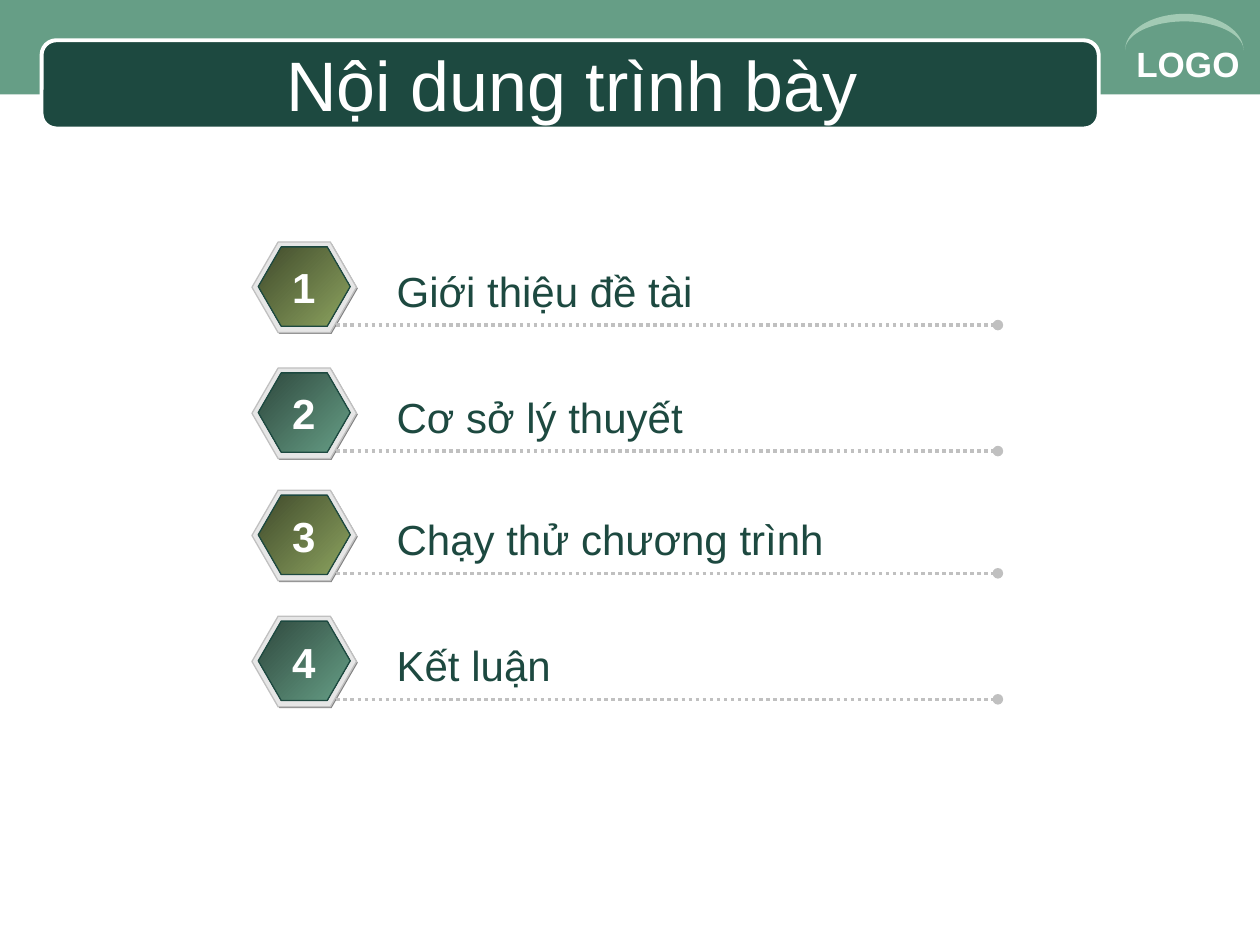
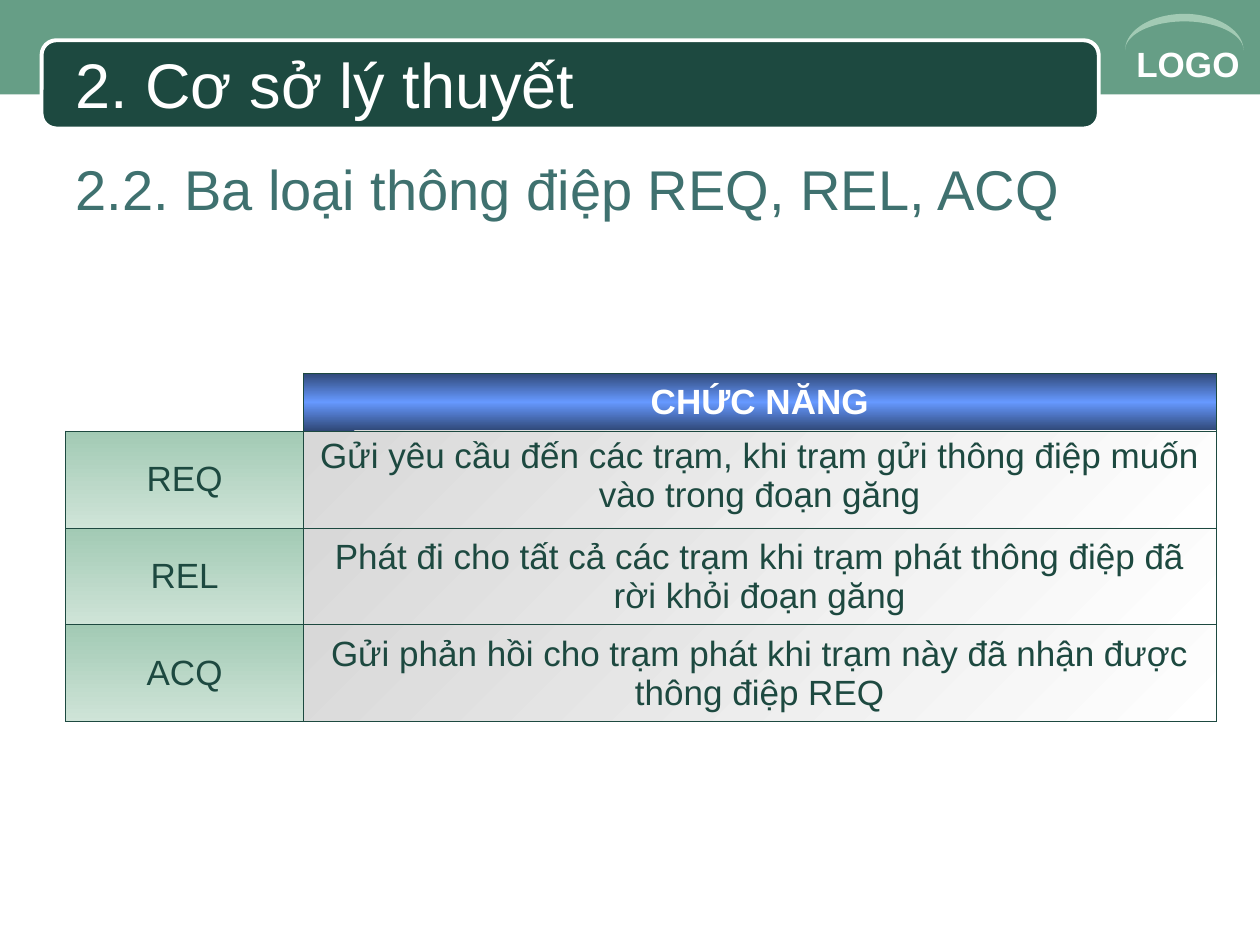
from math import cos, pi, sin

from lxml.etree import SubElement
from pptx import Presentation
from pptx.dml.color import RGBColor
from pptx.enum.dml import MSO_LINE
from pptx.enum.shapes import MSO_CONNECTOR, MSO_SHAPE
from pptx.enum.text import MSO_ANCHOR, PP_ALIGN
from pptx.oxml.ns import qn
from pptx.util import Inches, Pt

# Content
AGENDA_TITLE = "Nội dung trình bày"
AGENDA = ["Giới thiệu đề tài", "Cơ sở lý thuyết", "Chạy thử chương trình", "Kết luận"]
THEORY_TITLE = "2. Cơ sở lý thuyết"
THEORY_HEADING = "2.2. Ba loại thông điệp REQ, REL, ACQ"
MESSAGES = [
    ("", "CHỨC NĂNG"),
    ("REQ", "Gửi yêu cầu đến các trạm, khi trạm gửi thông điệp muốn vào trong đoạn găng"),
    ("REL", "Phát đi cho tất cả các trạm khi trạm phát thông điệp đã rời khỏi đoạn găng"),
    ("ACQ", "Gửi phản hồi cho trạm phát khi trạm này đã nhận được thông điệp REQ"),
]

# Look
FONT = "Arial"
WHITE = RGBColor(0xFF, 0xFF, 0xFF)
DARK = RGBColor(0x1D, 0x49, 0x40)
GREEN = RGBColor(0x66, 0x9E, 0x86)
PALE = RGBColor(0xA2, 0xCA, 0xB4)
PALER = RGBColor(0xCF, 0xE4, 0xD8)
TEAL = RGBColor(0x3F, 0x71, 0x6F)
GREY = RGBColor(0x80, 0x80, 0x80)
SILVER = RGBColor(0xC0, 0xC0, 0xC0)
LIGHT = RGBColor(0xE6, 0xE6, 0xE6)
NAVY = RGBColor(0x2F, 0x47, 0x76)
BLUE = RGBColor(0x66, 0x99, 0xFF)
MIST = RGBColor(0xD8, 0xD8, 0xD8)
OLIVE_BADGE = (RGBColor(0x41, 0x4B, 0x2C), RGBColor(0x8C, 0xA3, 0x5F))
GREEN_BADGE = (RGBColor(0x2F, 0x49, 0x3E), GREEN)

WIDTH, HEIGHT = 10, 7.5
BADGE_X, BADGE_W, BADGE_H = 2, 0.83, 0.72
AGENDA_TOP, PAIR_STEP = 1.92, 1.97
COLUMNS, ROWS = (1.89, 7.24), (0.46, 0.77, 0.77, 0.77)


def write(tf, text, size=20, color=DARK, bold=False, align=PP_ALIGN.LEFT, before=0):
    p = tf.paragraphs[0]
    p.alignment = align
    p.space_before = Pt(before)
    r = p.add_run()
    r.text = text
    r.font.name, r.font.size, r.font.bold = FONT, Pt(size), bold
    r.font.color.rgb = color


def add_text(slide, box, text, wrap=True, anchor=MSO_ANCHOR.TOP, **style):
    tf = slide.shapes.add_textbox(*map(Inches, box)).text_frame
    tf.word_wrap, tf.vertical_anchor = wrap, anchor
    write(tf, text, **style)


def fill_gradient(fill, element, colors, angle):
    fill.gradient()
    stops = element.find(".//" + qn("a:gsLst"))
    for stop in list(stops):
        stops.remove(stop)
    for i, color in enumerate(colors):
        gs = SubElement(stops, qn("a:gs"), pos=str(100000 * i // (len(colors) - 1)))
        SubElement(gs, qn("a:srgbClr"), val=str(color))
    element.find(".//" + qn("a:lin")).set("ang", str(angle * 60000))


def style_shape(sp, fill, line=None, weight=0.75):
    sp.shadow.inherit = False
    if isinstance(fill, RGBColor):
        sp.fill.solid()
        sp.fill.fore_color.rgb = fill
    else:
        fill_gradient(sp.fill, sp._element.spPr, fill, 45)
    if line is None:
        sp.line.fill.background()
    else:
        sp.line.color.rgb, sp.line.width = line, Pt(weight)


def add_shape(slide, kind, box, fill, adj=None, **line):
    sp = slide.shapes.add_shape(kind, *map(Inches, box))
    if adj is not None:
        sp.adjustments[0] = adj
    style_shape(sp, fill, **line)


def add_crescent(slide, cx, base, rx, outer, inner, steps=40):
    angles = [pi * i / steps for i in range(steps + 1)]
    arc = [(a, outer) for a in angles] + [(a, inner) for a in reversed(angles)]
    points = [(Inches(cx + rx * cos(a)), Inches(base - ry * sin(a))) for a, ry in arc]
    builder = slide.shapes.build_freeform(*points[0])
    builder.add_line_segments(points[1:], close=True)
    style_shape(builder.convert_to_shape(), PALE)


def add_slide(prs, title, **style):
    """Blank slide with the shared band, title panel and corner mark."""
    slide = prs.slides.add_slide(prs.slide_layouts[6])
    add_shape(slide, MSO_SHAPE.RECTANGLE, (0, 0, WIDTH, HEIGHT / 10), GREEN)
    add_shape(slide, MSO_SHAPE.ROUNDED_RECTANGLE, (0.33, 0.32, 8.39, 0.7), DARK,
              adj=0.167, line=WHITE, weight=2.25)
    add_text(slide, (8.92, 0.29, 1.08, 0.44), "LOGO", color=WHITE, bold=True)
    add_crescent(slide, cx=9.4, base=0.4, rx=0.47, outer=0.29, inner=0.23)
    add_text(slide, (0.5, 0.35, 8.08, 0.62), title, anchor=MSO_ANCHOR.MIDDLE,
             color=WHITE, **style)
    return slide


def add_dotted_line(slide, x1, x2, y):
    line = slide.shapes.add_connector(MSO_CONNECTOR.STRAIGHT, *map(Inches, (x1, y, x2, y)))
    line.line.color.rgb, line.line.width = SILVER, Pt(2)
    line.line.dash_style = MSO_LINE.ROUND_DOT
    SubElement(line.line._get_or_add_ln(), qn("a:tailEnd"), type="oval")
    SubElement(line._element.spPr, qn("a:effectLst"))


def add_agenda_item(slide, i, text):
    top = AGENDA_TOP + PAIR_STEP * (i // 2) + i % 2
    hexagons = [
        ((BADGE_X + 0.01, top + 0.01, BADGE_W, BADGE_H), GREY, None),
        ((BADGE_X, top, BADGE_W, BADGE_H), LIGHT, SILVER),
        ((BADGE_X + 0.05, top + 0.04, 0.73, 0.63), (OLIVE_BADGE, GREEN_BADGE)[i % 2], DARK),
    ]
    for box, fill, line in hexagons:
        add_shape(slide, MSO_SHAPE.HEXAGON, box, fill, adj=0.289, line=line)
    add_dotted_line(slide, 2.67, 7.92, top + 0.66)
    add_text(slide, (3.05, top + 0.14, 3.6, 0.5), text, wrap=False, size=24)
    add_text(slide, (2.22, top + 0.11, 0.38, 0.5), str(i + 1), wrap=False, size=24,
             color=WHITE, bold=True, align=PP_ALIGN.CENTER)


def set_borders(cell, visible):
    for side in "LRTB":
        ln = SubElement(cell._tc.get_or_add_tcPr(), qn(f"a:ln{side}"), w=str(Pt(0.45)))
        if side in visible:
            SubElement(SubElement(ln, qn("a:solidFill")), qn("a:srgbClr"), val=str(DARK))
        else:
            SubElement(ln, qn("a:noFill"))


def add_message_table(slide, left, top):
    box = map(Inches, (left, top, sum(COLUMNS), sum(ROWS)))
    table = slide.shapes.add_table(len(ROWS), len(COLUMNS), *box).table
    table.first_row = table.horz_banding = False
    for column, width in zip(table.columns, COLUMNS):
        column.width = Inches(width)
    for row, height in zip(table.rows, ROWS):
        row.height = Inches(height)
    for r, texts in enumerate(MESSAGES):
        for c, text in enumerate(texts):
            cell = table.cell(r, c)
            set_borders(cell, "LRTB" if text else "RB")
            if not text:
                cell.fill.background()
                continue
            header = r == 0
            if header:
                colors, angle = (NAVY, BLUE, NAVY), 90
            else:
                colors, angle = [((PALE, PALER), 90), ((MIST, WHITE), 45)][c]
            fill_gradient(cell.fill, cell._tc.tcPr, colors, angle)
            top_aligned = (r, c) == (1, 1)
            cell.vertical_anchor = MSO_ANCHOR.TOP if top_aligned else MSO_ANCHOR.MIDDLE
            write(cell.text_frame, text, color=WHITE if header else DARK, bold=header,
                  align=PP_ALIGN.CENTER, before=5)


def main():
    prs = Presentation()
    prs.slide_width, prs.slide_height = Inches(WIDTH), Inches(HEIGHT)

    # Agenda
    slide = add_slide(prs, AGENDA_TITLE, size=40, align=PP_ALIGN.CENTER)
    for i, text in enumerate(AGENDA):
        add_agenda_item(slide, i, text)

    # Message types
    slide = add_slide(prs, THEORY_TITLE, size=36)
    add_text(slide, (0.5, 1.18, 9.38, 0.8), THEORY_HEADING, size=32, color=TEAL, before=8)
    add_message_table(slide, 0.52, 2.96)

    prs.save("out.pptx")


if __name__ == "__main__":
    main()
